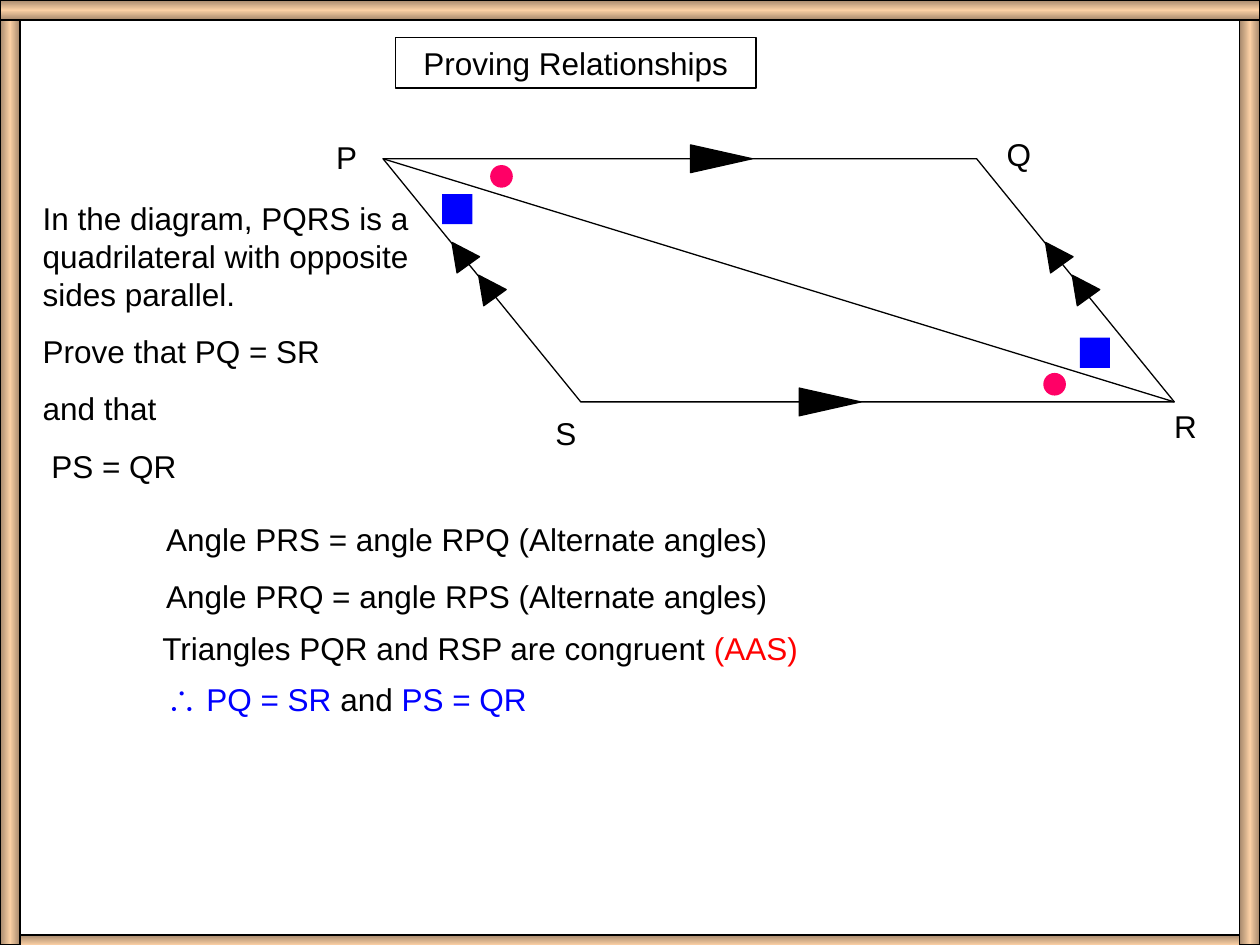
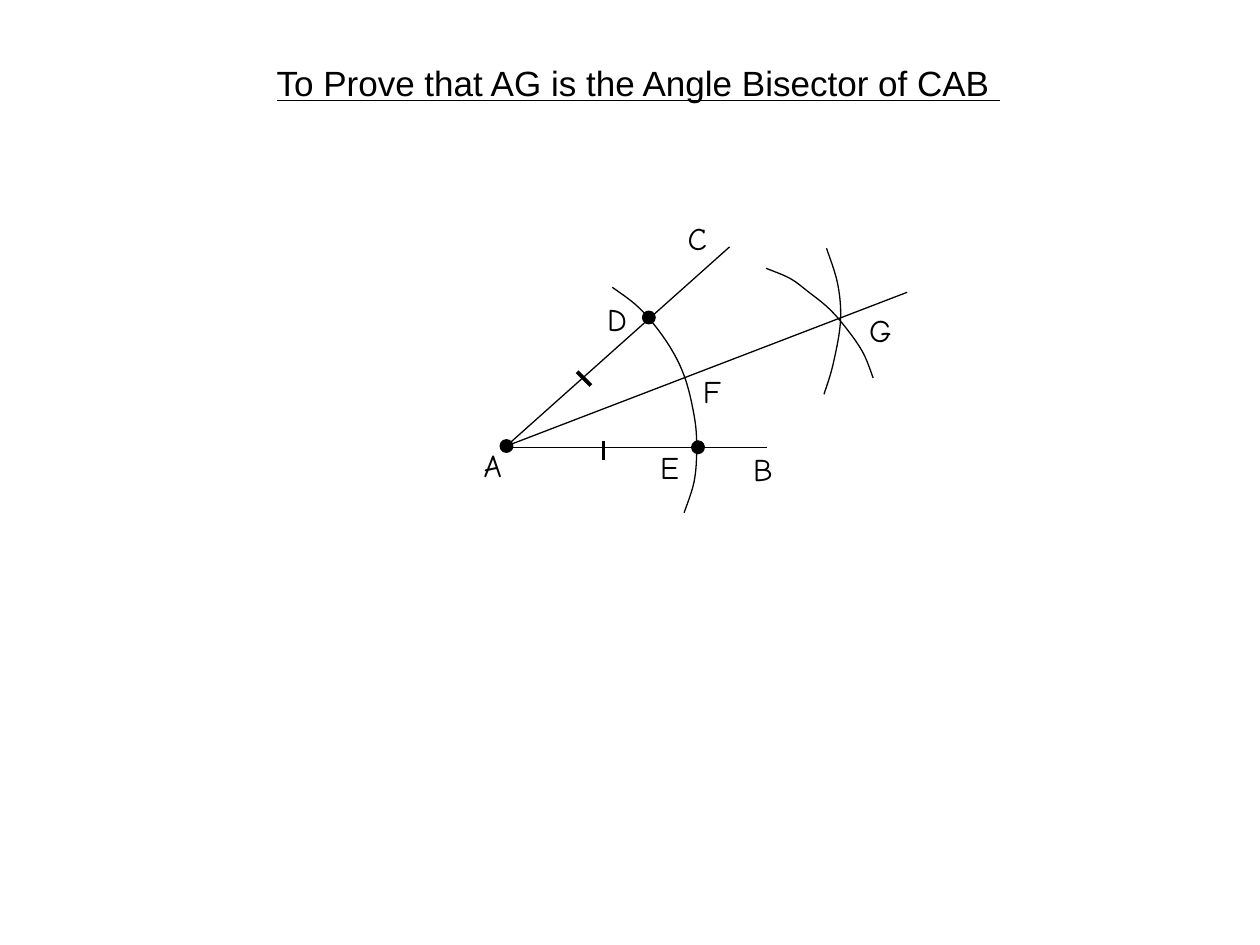
from copy import deepcopy
from dataclasses import dataclass

from lxml.etree import SubElement
from pptx import Presentation
from pptx.dml.color import RGBColor
from pptx.enum.shapes import MSO_CONNECTOR, MSO_SHAPE
from pptx.enum.text import MSO_AUTO_SIZE, PP_ALIGN
from pptx.oxml.ns import qn
from pptx.util import Inches, Pt


@dataclass(frozen=True)
class Theme:
    black: str = "000000"
    blue: str = "0000FF"
    red: str = "FF0000"
    pink: str = "FF0066"
    wood: tuple = ("A5886C", "FACFA4", "A5886C")
    font: str = "Arial"
    label_font: str = "Comic Neue"
    body: float = 18
    heading: float = 20
    gap: float = 11.2
    thin: float = 0.75
    thick: float = 2.25


THEME = Theme()
WIDTH, HEIGHT = 10, 7.5
BAND = 0.16
LINE_HEIGHT = 0.4

FRAME = [
    (0, HEIGHT - BAND / 2, WIDTH, BAND, 90),
    (0, 0, BAND, HEIGHT, 0),
    (WIDTH - BAND, 0, BAND, HEIGHT, 0),
    (0, 0, WIDTH, BAND, 90),
]

TASK = [
    "In the diagram, PQRS is a quadrilateral with opposite sides parallel.",
    "Prove that PQ = SR",
    "and that",
    "PS = QR",
]
PROOF = [
    (1.22, 4.08, 5.04, [("Angle PRS = angle RPQ (Alternate angles)", THEME.black)]),
    (1.22, 4.53, 5.04, [("Angle PRQ = angle RPS (Alternate angles)", THEME.black)]),
    (1.19, 4.94, 5.56, [("Triangles PQR and RSP are congruent ", THEME.black), ("(AAS)", THEME.red)]),
    (1.22, 5.35, 3.11, [("∴ PQ = SR ", THEME.blue), ("and", THEME.black), (" PS = QR", THEME.blue)]),
]
PARALLELOGRAM = (3.04, 1.26, 6.28, 1.93)
SLANT = 0.813
VERTEX_LABELS = {"P": (2.57, 1.05), "Q": (7.89, 1.02), "R": (9.22, 3.18), "S": (4.31, 3.24)}
SIDE_ARROWS = [
    ("PQ", 0.57, 0.49, 90),
    ("SR", 0.42, 0.49, 90),
    ("PS", 0.39, 0.22, 324.1),
    ("PS", 0.525, 0.22, 324.1),
    ("QR", 0.39, 0.22, 324.1),
    ("QR", 0.525, 0.22, 324.1),
]
EQUAL_ANGLES = [
    (MSO_SHAPE.OVAL, 0.18, THEME.pink, [(8.37, 3.05), (3.98, 1.4)]),
    (MSO_SHAPE.RECTANGLE, 0.24, THEME.blue, [(3.63, 1.66), (8.69, 2.8)]),
]

BISECTOR_TITLE = "To Prove that AG is the Angle Bisector of CAB "
POINT_LABELS = {
    "A": (3.74, 3.49), "B": (5.88, 3.52), "C": (5.36, 1.69), "D": (4.72, 2.33),
    "E": (5.14, 3.51), "F": (5.48, 2.9), "G": (6.8, 2.42),
}
APEX = (4.02, 3.54)
RAYS = [((4.02, 3.55), (6.09, 3.55)), (APEX, (5.79, 1.96)), (APEX, (7.2, 2.32))]
DOTS = [(5.15, 2.52), (5.54, 3.55), APEX]
EQUAL_TICKS = [((4.58, 2.95), (4.69, 3.06)), ((4.79, 3.5), (4.79, 3.65))]
ARCS = [
    [(4.86, 2.28), (5.08, 2.45), (5.29, 2.71), (5.43, 2.98), (5.51, 3.3), (5.53, 3.55),
     (5.51, 3.82), (5.43, 4.07)],
    [(6.08, 2.13), (6.27, 2.21), (6.42, 2.32), (6.58, 2.45), (6.72, 2.61), (6.85, 2.8), (6.93, 3)],
    [(6.56, 1.97), (6.65, 2.26), (6.67, 2.56), (6.61, 2.9), (6.54, 3.13)],
]


def color(value):
    return RGBColor.from_string(value)


def set_outline(shape, width=THEME.thin):
    shape.line.color.rgb = color(THEME.black)
    shape.line.width = Pt(width)


def add_text(slide, left, top, width, paragraphs, size=THEME.body, font=THEME.font,
             align=PP_ALIGN.LEFT, underline=None, height=LINE_HEIGHT):
    box = slide.shapes.add_textbox(*map(Inches, (left, top, width, height)))
    frame = box.text_frame
    frame.word_wrap = True
    frame.auto_size = MSO_AUTO_SIZE.SHAPE_TO_FIT_TEXT
    for index, runs in enumerate(paragraphs):
        paragraph = frame.add_paragraph() if index else frame.paragraphs[0]
        paragraph.alignment = align
        if index:
            paragraph.space_before = Pt(THEME.gap)
        for text, run_color in runs:
            run = paragraph.add_run()
            run.text = text
            run.font.size = Pt(size)
            run.font.name = font
            run.font.underline = underline
            run.font.color.rgb = color(run_color)
    return box


def add_labels(slide, labels, font, width):
    for letter, (left, top) in labels.items():
        add_text(slide, left, top, width, [[(letter, THEME.black)]], font=font)


def add_shape(slide, kind, left, top, width, height, fill=None, outlined=True):
    shape = slide.shapes.add_shape(kind, *map(Inches, (left, top, width, height)))
    shape.shadow.inherit = False
    if fill:
        shape.fill.solid()
        shape.fill.fore_color.rgb = color(fill)
    else:
        shape.fill.background()
    if outlined:
        set_outline(shape)
    else:
        shape.line.fill.background()
    return shape


def add_centred(slide, kind, center, width, height, fill, outlined=True):
    return add_shape(slide, kind, center[0] - width / 2, center[1] - height / 2,
                     width, height, fill, outlined)


def add_line(slide, start, end, width=THEME.thin):
    line = slide.shapes.add_connector(MSO_CONNECTOR.STRAIGHT, *map(Inches, (*start, *end)))
    set_outline(line, width)
    SubElement(line._element.spPr, qn("a:effectLst"))


def smooth_points(knots, steps=6):
    padded = [knots[0], *knots, knots[-1]]
    points = [knots[0]]
    for before, start, end, after in zip(padded, padded[1:], padded[2:], padded[3:]):
        for step in range(1, steps + 1):
            t = step / steps
            points.append(tuple(
                b + t * (c - a) / 2 + t * t * (2 * a - 5 * b + 4 * c - d) / 2
                + t ** 3 * (3 * b - a - 3 * c + d) / 2
                for a, b, c, d in zip(before, start, end, after)))
    return points


def add_arc(slide, knots):
    first, *rest = [(Inches(x), Inches(y)) for x, y in smooth_points(knots)]
    builder = slide.shapes.build_freeform(*first)
    builder.add_line_segments(rest, close=False)
    arc = builder.convert_to_shape()
    arc.shadow.inherit = False
    arc.fill.background()
    set_outline(arc)


def add_frame(slide):
    for left, top, width, height, angle in FRAME:
        band = add_shape(slide, MSO_SHAPE.RECTANGLE, left, top, width, height)
        band.fill.gradient()
        band.fill.gradient_angle = angle
        stops = band._element.spPr.find(".//" + qn("a:gsLst"))
        stops.insert(1, deepcopy(stops[0]))
        for index, stop in enumerate(band.fill.gradient_stops):
            stop.position = index / 2
            stop.color.rgb = color(THEME.wood[index])


def build_relationships(slide):
    add_frame(slide)
    title = add_text(slide, 3.14, 0.3, 2.86, [[("Proving Relationships", THEME.black)]],
                     align=PP_ALIGN.CENTER)
    set_outline(title)
    add_labels(slide, VERTEX_LABELS, THEME.font, 0.44)

    left, top, width, height = PARALLELOGRAM
    outline = add_shape(slide, MSO_SHAPE.PARALLELOGRAM, *PARALLELOGRAM)
    outline.adjustments[0] = SLANT
    outline._element.spPr.find(qn("a:xfrm")).set("flipH", "1")
    inset, right, bottom = SLANT * height, left + width, top + height
    corners = {"P": (left, top), "Q": (right - inset, top),
               "R": (right, bottom), "S": (left + inset, bottom)}
    add_line(slide, corners["P"], corners["R"])
    for (start, end), share, length, angle in SIDE_ARROWS:
        center = [a + share * (b - a) for a, b in zip(corners[start], corners[end])]
        arrow = add_centred(slide, MSO_SHAPE.ISOSCELES_TRIANGLE, center, 0.22, length, THEME.black)
        arrow.rotation = angle

    task = add_text(slide, 0.24, 1.53, 3.26, [[(text, THEME.black)] for text in TASK], height=2.37)
    task.text_frame.paragraphs[-1]._p.get_or_add_pPr().set("marL", str(Inches(0.07)))
    for left, top, width, runs in PROOF:
        add_text(slide, left, top, width, [runs])
    for kind, size, fill, centers in EQUAL_ANGLES:
        for center in centers:
            add_centred(slide, kind, center, size, size, fill, outlined=False)


def build_bisector(slide):
    add_text(slide, 1.88, 0.44, 6.37, [[(BISECTOR_TITLE, THEME.black)]], size=THEME.heading,
             align=PP_ALIGN.CENTER, underline=True, height=0.44)
    for start, end in RAYS:
        add_line(slide, start, end)
    for knots in ARCS:
        add_arc(slide, knots)
    add_labels(slide, POINT_LABELS, THEME.label_font, 0.4)
    for center in DOTS:
        add_centred(slide, MSO_SHAPE.OVAL, center, 0.1, 0.1, THEME.black)
    for start, end in EQUAL_TICKS:
        add_line(slide, start, end, THEME.thick)


def main():
    presentation = Presentation()
    presentation.slide_width = Inches(WIDTH)
    presentation.slide_height = Inches(HEIGHT)
    for build in (build_relationships, build_bisector):
        build(presentation.slides.add_slide(presentation.slide_layouts[6]))
    presentation.save("out.pptx")


if __name__ == "__main__":
    main()
